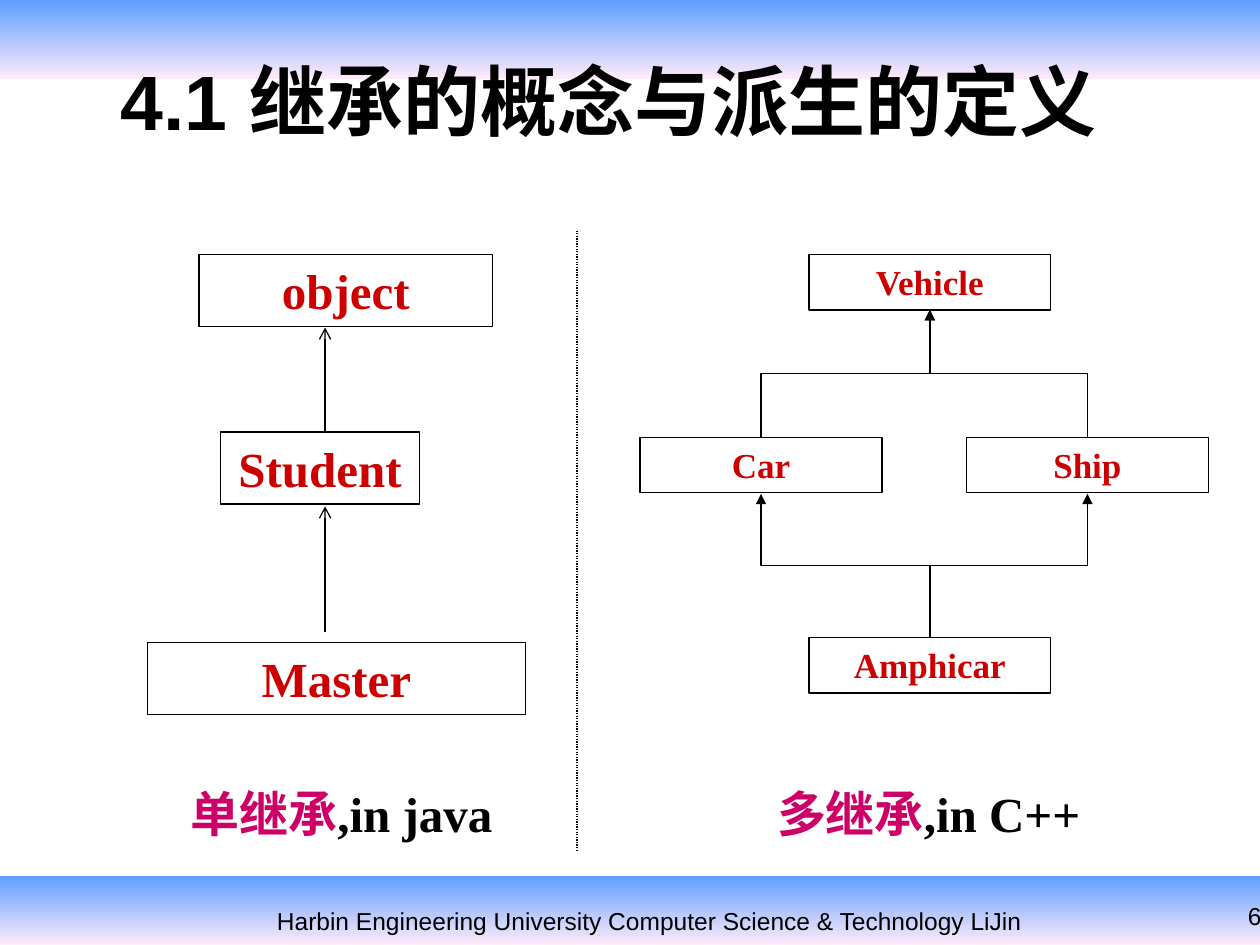
from lxml import etree
from pptx import Presentation
from pptx.dml.color import RGBColor
from pptx.enum import dml, shapes, text
from pptx.oxml.ns import qn
from pptx.util import Inches, Pt

BLACK = RGBColor(0x00, 0x00, 0x00)
CLASS_RED = RGBColor(0xCC, 0x00, 0x00)
KIND_PINK = RGBColor(0xCC, 0x00, 0x66)
BAND_BLUE = RGBColor(0x5E, 0x9E, 0xFF)
BAND_ROSE = RGBColor(0xFF, 0xEB, 0xFA)
SERIF, SANS = "Times New Roman", "Arial"


def write(shape, *runs, size, font=SERIF, bold=True, align=text.PP_ALIGN.CENTER,
          anchor=text.MSO_ANCHOR.TOP, wrap=True):
    """Fill a shape with one paragraph; each run is a (wording, colour) pair."""
    frame = shape.text_frame
    frame.word_wrap = wrap
    frame.vertical_anchor = anchor
    paragraph = frame.paragraphs[0]
    paragraph.alignment = align
    for wording, colour in runs:
        run = paragraph.add_run()
        run.text = wording
        run.font.size = Pt(size)
        run.font.name = font
        run.font.bold = bold
        run.font.color.rgb = colour


def connect(parent, kind, start, end, arrow=None):
    """Draw a thin black connector, with an optional arrowhead at its end."""
    connector = parent.add_connector(kind, *map(Inches, start + end))
    connector.line.color.rgb = BLACK
    connector.line.width = Pt(0.75)
    if arrow:
        etree.SubElement(connector.line._get_or_add_ln(), qn("a:tailEnd"), type=arrow)
    etree.SubElement(connector._element.spPr, qn("a:effectLst"))
    return connector


deck = Presentation()
deck.slide_width, deck.slide_height = Inches(10), Inches(7.5)
slide = deck.slides.add_slide(deck.slide_layouts[6])

# Header and footer bands
for top, height in ((0, 0.63), (6.95, 0.55)):
    band = slide.shapes.add_shape(
        shapes.MSO_SHAPE.RECTANGLE, 0, Inches(top), Inches(10), Inches(height))
    band.shadow.inherit = False
    band.line.fill.background()
    band.fill.gradient()
    band.fill.gradient_angle = 270
    for stop, position, colour in zip(
            band.fill.gradient_stops, (0, 1), (BAND_BLUE, BAND_ROSE)):
        stop.position = position
        stop.color.rgb = colour

page_number = slide.shapes.add_textbox(Inches(9.02), Inches(7.1), Inches(1.09), Inches(0.34))
write(page_number, ("6", BLACK), size=14, font=SANS, bold=False,
      align=text.PP_ALIGN.RIGHT, wrap=False)

footer = slide.shapes.add_textbox(Inches(1.14), Inches(7.14), Inches(8.03), Inches(0.36))
write(footer, ("Harbin Engineering University Computer Science & Technology LiJin", BLACK),
      size=14, font=SANS, bold=False)

title = slide.shapes.add_textbox(Inches(0.86), Inches(0.33), Inches(8.86), Inches(0.92))
write(title, ("4.1 继承的概念与派生的定义", BLACK), size=44, font=SANS,
      align=text.PP_ALIGN.LEFT, anchor=text.MSO_ANCHOR.MIDDLE)

# Class boxes of both inheritance trees: name, left, top, width
single_tree = slide.shapes.add_group_shape().shapes
multiple_tree = slide.shapes.add_group_shape().shapes
single_classes = (("object", 1.58, 2.02, 2.33),
                  ("Student", 1.75, 3.43, 1.58),
                  ("Master", 1.17, 5.1, 3))
multiple_classes = (("Vehicle", 6.42, 2.02, 1.92),
                    ("Amphicar", 6.42, 5.06, 1.92),
                    ("Car", 5.08, 3.47, 1.92),
                    ("Ship", 7.67, 3.47, 1.92))
for tree, classes, height, size in ((single_tree, single_classes, 0.57, 28),
                                    (multiple_tree, multiple_classes, 0.44, 20)):
    for name, left, top, width in classes:
        class_box = tree.add_shape(
            shapes.MSO_SHAPE.RECTANGLE,
            Inches(left), Inches(top), Inches(width), Inches(height))
        class_box.shadow.inherit = False
        class_box.fill.background()
        class_box.line.color.rgb = BLACK
        class_box.line.width = Pt(0.75)
        write(class_box, (name, CLASS_RED), size=size)

# Single inheritance: straight arrows from child to parent
for child_y, parent_y in ((3.43, 2.6), (5.02, 4.02)):
    connect(single_tree, shapes.MSO_CONNECTOR.STRAIGHT,
            (2.58, child_y), (2.58, parent_y), arrow="arrow")

# Multiple inheritance: elbows that leave upwards, so each is turned a quarter
car_x, middle_x, ship_x = 6.04, 7.38, 8.63
for child_x, child_y, parent_x, parent_y in (
        (car_x, 3.47, middle_x, 2.46), (ship_x, 3.47, middle_x, 2.46),
        (middle_x, 5.06, car_x, 3.92), (middle_x, 5.06, ship_x, 3.92)):
    centre_x, centre_y = (child_x + parent_x) / 2, (child_y + parent_y) / 2
    half_rise, half_run = (child_y - parent_y) / 2, abs(parent_x - child_x) / 2
    goes_right = parent_x > child_x
    side = 1 if goes_right else -1
    elbow = connect(multiple_tree, shapes.MSO_CONNECTOR.ELBOW,
                    (centre_x + side * half_rise, centre_y + half_run),
                    (centre_x - side * half_rise, centre_y - half_run),
                    arrow="triangle")
    elbow.rotation = 90 if goes_right else 270

# Divider and captions
divider = connect(slide.shapes, shapes.MSO_CONNECTOR.STRAIGHT, (4.58, 1.83), (4.58, 6.75))
divider.line.dash_style = dml.MSO_LINE.ROUND_DOT

for left, kind, language in ((0.92, "单继承", ",in java"), (5.58, "多继承", ",in C++")):
    caption = slide.shapes.add_textbox(Inches(left), Inches(6.17), Inches(3.58), Inches(0.57))
    write(caption, (kind, KIND_PINK), (language, BLACK), size=28)

deck.save("out.pptx")
